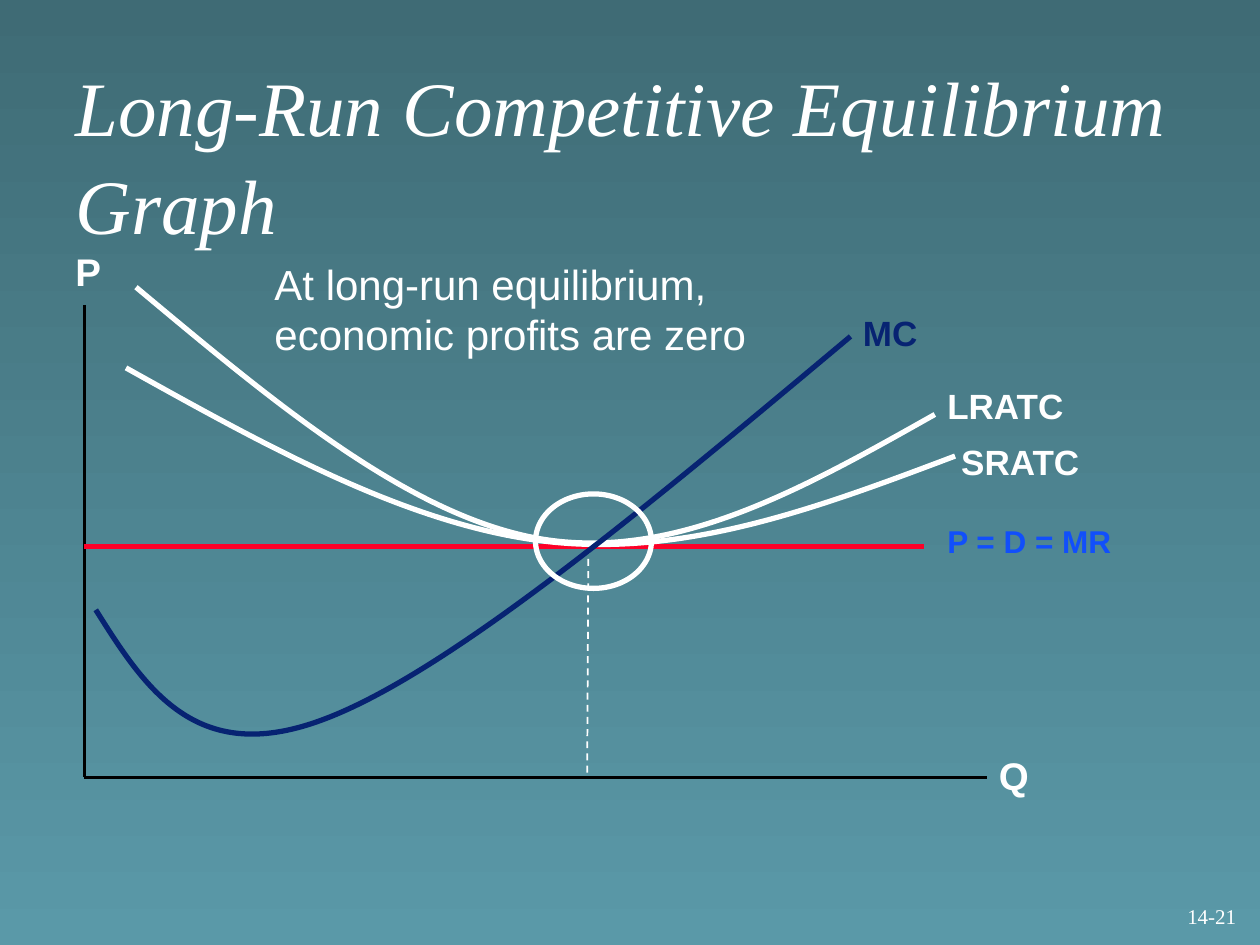
from lxml import etree
from pptx import Presentation
from pptx.dml.color import RGBColor
from pptx.enum.dml import MSO_LINE
from pptx.enum.shapes import MSO_CONNECTOR, MSO_SHAPE
from pptx.enum.text import MSO_ANCHOR, PP_ALIGN
from pptx.oxml.ns import qn
from pptx.util import Inches, Pt

STRAIGHT = MSO_CONNECTOR.STRAIGHT
OVAL = MSO_SHAPE.OVAL
DASH = MSO_LINE.DASH
MIDDLE, BOTTOM = MSO_ANCHOR.MIDDLE, MSO_ANCHOR.BOTTOM
LEFT, RIGHT = PP_ALIGN.LEFT, PP_ALIGN.RIGHT
SANS, SERIF = "Arial", "Times New Roman"
WHITE, BLACK, NAVY, BLUE, RED = "FFFFFF", "000000", "072372", "114FFB", "FC0128"


def color(code):
    return RGBColor.from_string(code)


def style(par, size, code=WHITE, name=SANS, bold=False, italic=False):
    font = par.font
    font.size, font.name = Pt(size), name
    font.bold, font.italic = bold, italic
    font.color.rgb = color(code)


def stroke(shape, code, width):
    shape.line.color.rgb = color(code)
    shape.line.width = Pt(width)


def paint_back(slide):
    fill = slide.background.fill
    fill.gradient()
    fill.gradient_angle = 270
    for stop, place, code in zip(fill.gradient_stops, (0, 1), ("3F6B75", "5A99A8")):
        stop.position = place
        stop.color.rgb = color(code)


def set_title(slide, text):
    title = slide.shapes.title
    title.left, title.top = Inches(0.5), Inches(0.83)
    title.width, title.height = Inches(9), Inches(0.75)
    frame = title.text_frame
    frame.text = text
    frame.vertical_anchor = MIDDLE
    par = frame.paragraphs[0]
    par.alignment = LEFT
    par.line_spacing = 1.06
    style(par, 44, name=SERIF, italic=True)


def add_text(slide, text, box, size, code=WHITE, name=SANS, bold=True):
    frame = slide.shapes.add_textbox(*map(Inches, box)).text_frame
    frame.word_wrap = True
    frame.text = text
    style(frame.paragraphs[0], size, code, name, bold)
    return frame


def add_line(slide, start, end, code, width):
    line = slide.shapes.add_connector(STRAIGHT, *map(Inches, start + end))
    stroke(line, code, width)
    etree.SubElement(line._element.spPr, qn("a:effectLst"))
    return line


def add_curve(slide, points, code):
    spots = [(Inches(x), Inches(y)) for x, y in points]
    pen = slide.shapes.build_freeform(*spots[0])
    pen.add_line_segments(spots[1:], close=False)
    curve = pen.convert_to_shape()
    curve.shadow.inherit = False
    curve.fill.background()
    stroke(curve, code, 3)
    trace = next(curve._element.iter(qn("a:path")))
    steps = trace.findall(qn("a:lnTo"))
    for i in range(0, len(steps), 3):
        bend = etree.SubElement(trace, qn("a:cubicBezTo"))
        for step in steps[i:i + 3]:
            bend.append(step[0])
            trace.remove(step)


def add_ring(slide, box):
    ring = slide.shapes.add_shape(OVAL, *map(Inches, box))
    ring.shadow.inherit = False
    ring.fill.background()
    stroke(ring, WHITE, 3)


def main():
    deck = Presentation()
    deck.slide_width, deck.slide_height = Inches(10), Inches(7.5)
    slide = deck.slides.add_slide(deck.slide_layouts[5])
    paint_back(slide)
    set_title(slide, "Long-Run Competitive Equilibrium Graph")

    add_line(slide, (4.67, 4.34), (4.66, 6.17), WHITE, 1).line.dash_style = DASH
    origin = (0.67, 6.17)
    add_line(slide, (0.67, 2.42), origin, BLACK, 2)
    add_line(slide, origin, (7.83, 6.17), BLACK, 2)
    add_line(slide, (0.67, 4.34), (7.33, 4.34), RED, 3)

    short_run = [(1, 2.92), (2.13, 3.55), (3.26, 4.18), (4.36, 4.3),
                 (5.46, 4.42), (6.52, 4.02), (7.58, 3.62)]
    long_run = [(1.08, 2.28), (2.17, 3.19), (3.26, 4.11), (4.31, 4.28),
                (5.37, 4.45), (6.39, 3.87), (7.42, 3.29)]
    marginal = [(0.76, 4.84), (1.15, 5.46), (1.55, 6.08), (2.54, 5.72),
                (3.54, 5.36), (5.15, 4.01), (6.75, 2.67)]
    for points, code in ((short_run, WHITE), (long_run, WHITE), (marginal, NAVY)):
        add_curve(slide, points, code)
    add_ring(slide, (4.25, 3.92, 0.92, 0.75))

    labels = [
        ("P", (0.5, 1.92, 1.67, 0.47), 22, WHITE),
        ("Q", (7.83, 5.92, 0.67, 0.47), 22, WHITE),
        ("P = D = MR", (7.42, 4.09, 1.92, 0.4), 18, BLUE),
        ("MC", (6.75, 2.42, 1.14, 0.44), 20, NAVY),
        ("SRATC", (7.53, 3.45, 1.39, 0.44), 20, WHITE),
        ("LRATC", (7.42, 3, 1.33, 0.44), 20, WHITE),
    ]
    for label in labels:
        add_text(slide, *label)
    add_text(slide, "At long-run equilibrium, economic profits are zero",
             (2.08, 2, 4.08, 0.9), 24, bold=False)
    number = add_text(slide, "14-21", (7.83, 6.92, 2.08, 0.5), 12, name=SERIF, bold=False)
    number.vertical_anchor = BOTTOM
    number.paragraphs[0].alignment = RIGHT

    deck.save("out.pptx")


if __name__ == "__main__":
    main()
